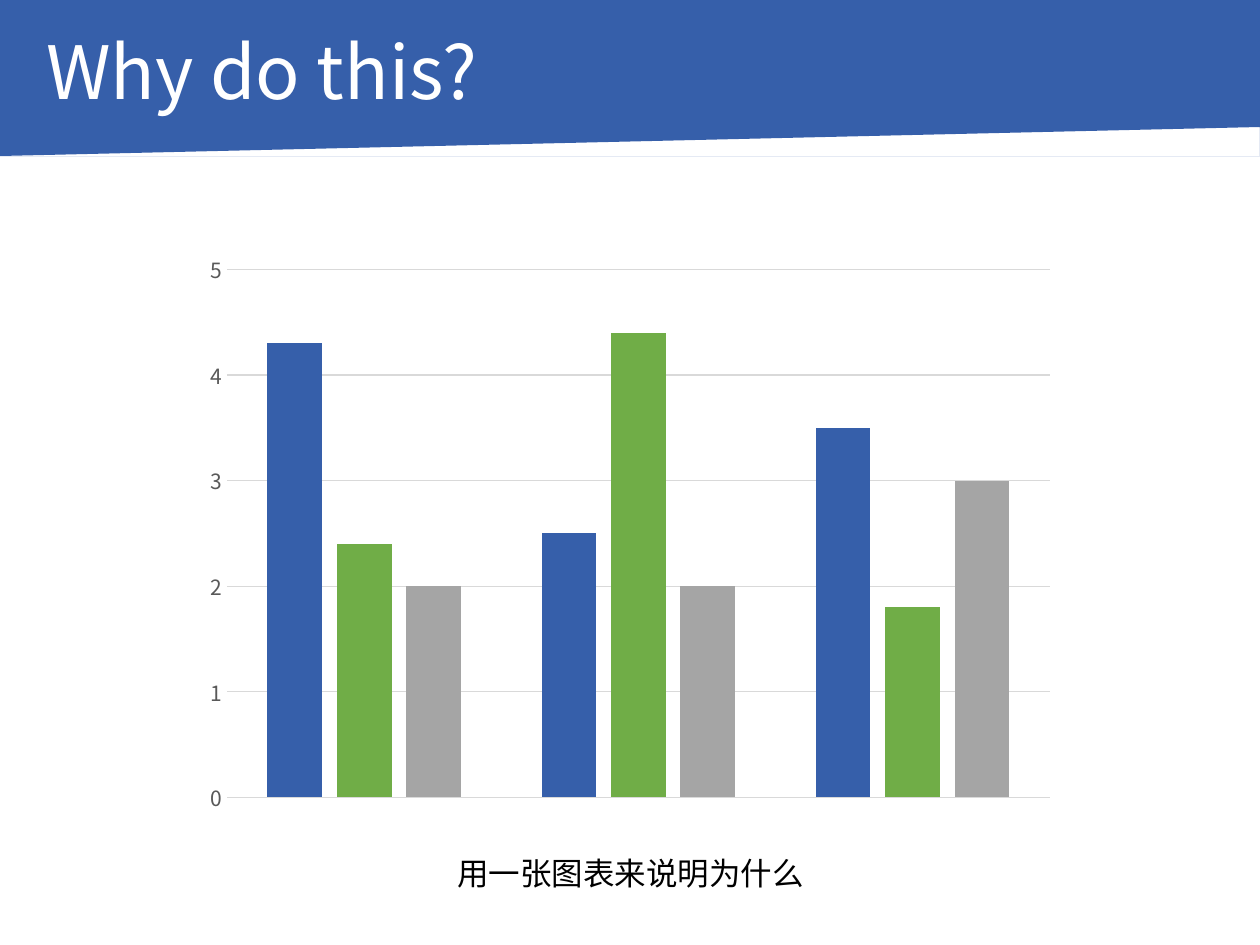
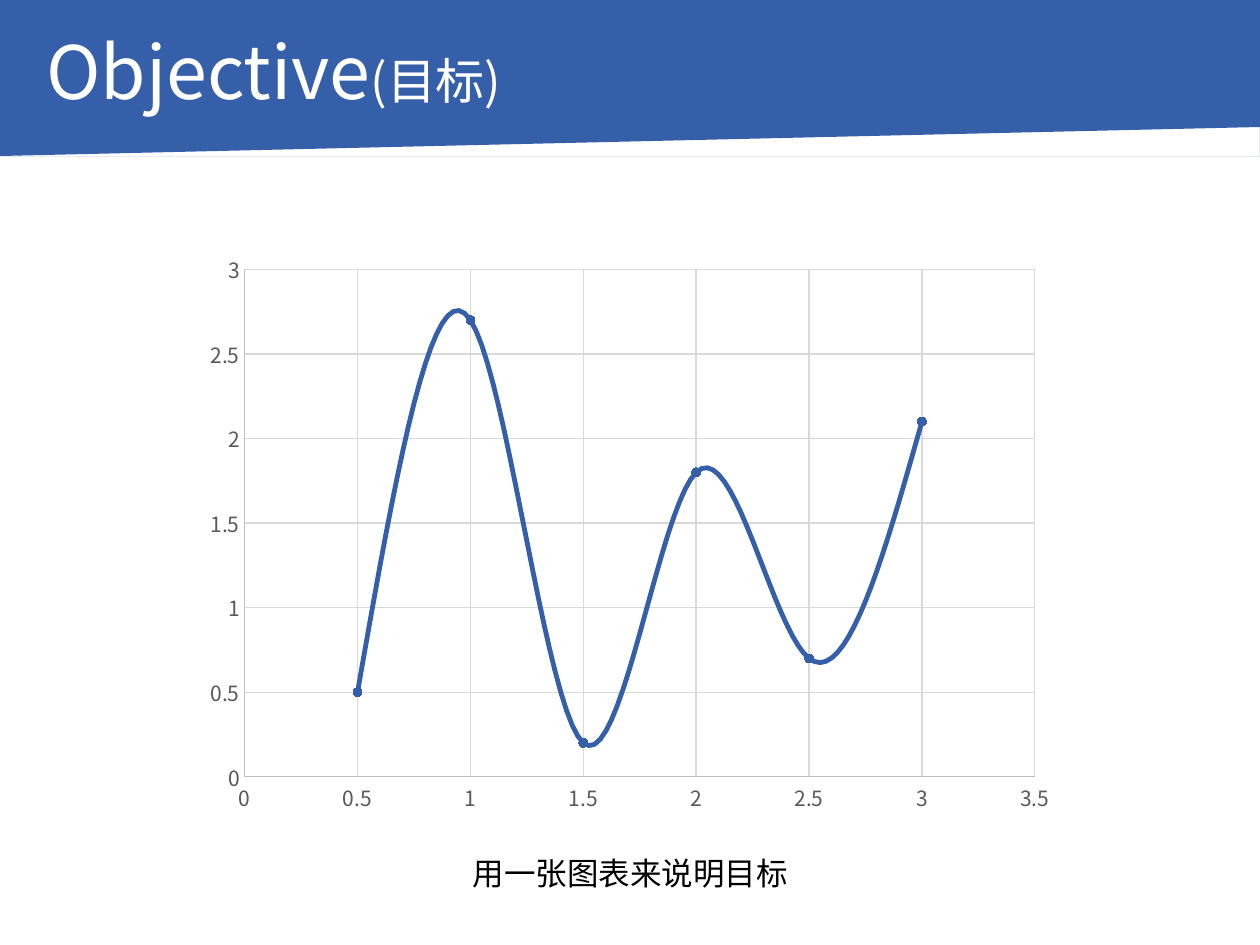
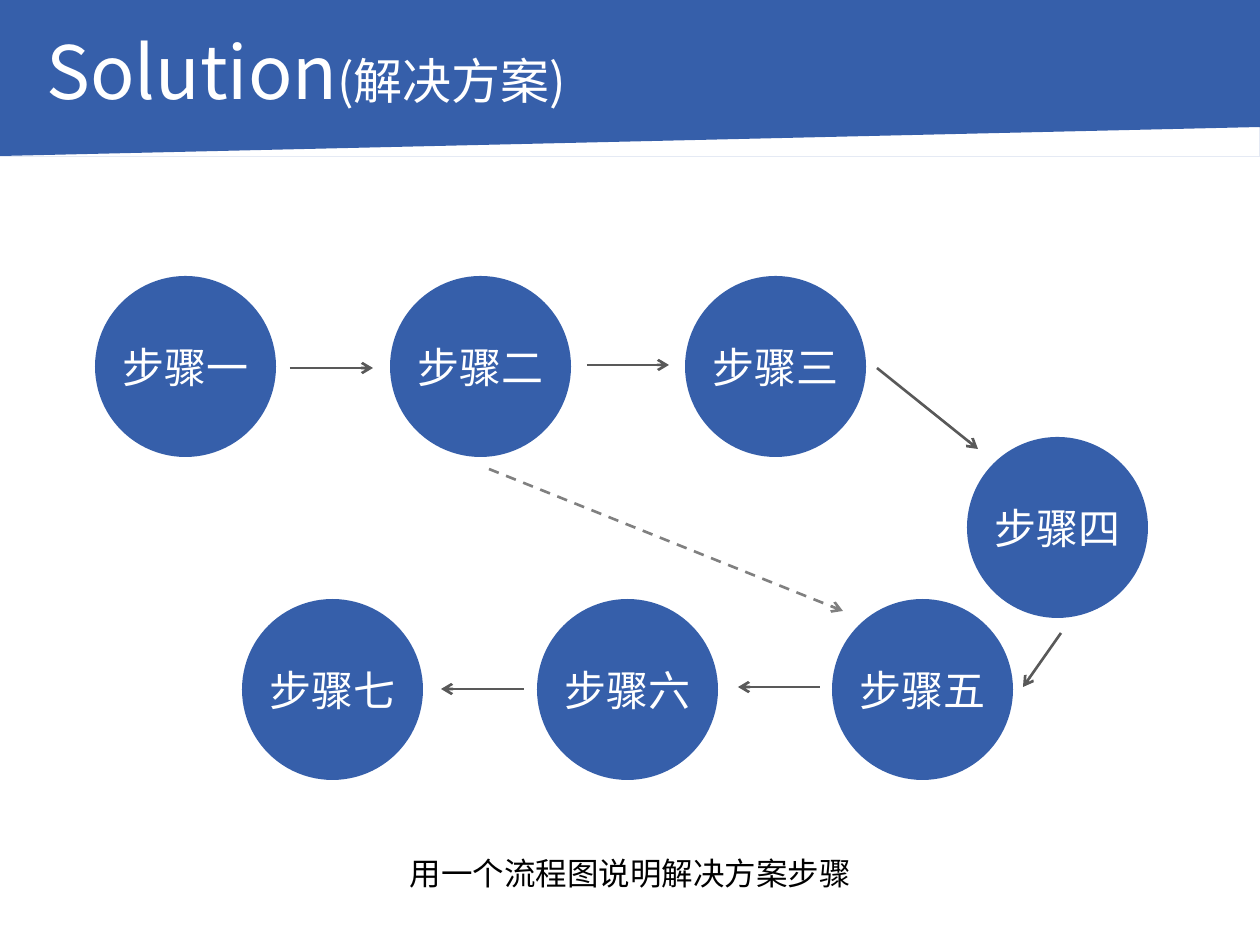
from dataclasses import dataclass
from typing import NamedTuple

from pptx import Presentation
from pptx.chart.data import CategoryChartData, XyChartData
from pptx.dml.color import RGBColor
from pptx.enum.chart import XL_CHART_TYPE, XL_MARKER_STYLE, XL_TICK_MARK
from pptx.enum.dml import MSO_LINE
from pptx.enum.shapes import MSO_CONNECTOR, MSO_SHAPE
from pptx.enum.text import MSO_ANCHOR, PP_ALIGN
from pptx.oxml.ns import qn
from pptx.util import Emu, Pt
from lxml.etree import SubElement

EMU_PER_PX = 914400 / 126


def px(n: float) -> Emu:
    return Emu(round(n * EMU_PER_PX))


# Theme
@dataclass(frozen=True)
class Theme:
    font: str = "Noto Sans CJK SC"
    blue: str = "365FAA"
    green: str = "70AD47"
    silver: str = "A5A5A5"
    white: str = "FFFFFF"
    black: str = "000000"
    arrow: str = "595959"
    shortcut: str = "808080"
    tick_label: str = "595959"
    axis: str = "BFBFBF"
    grid: str = "D9D9D9"
    title_size: int = 42
    subtitle_size: int = 28
    step_size: int = 24
    caption_size: int = 18
    tick_size: int = 12


THEME = Theme()


class Box(NamedTuple):
    left: int
    top: int
    width: int
    height: int

    def emu(self) -> list[Emu]:
        return [px(n) for n in self]


class Step(NamedTuple):
    label: str
    left: int
    top: int


class Arrow(NamedTuple):
    x1: int
    y1: int
    x2: int
    y2: int
    dashed: bool = False


SLIDE_W, SLIDE_H = 1260, 945
TITLE = Box(34, 34, 1145, 84)
CAPTION = Box(110, 848, 1041, 50)
CHART = Box(193, 242, 874, 583)
BAND = [(1260, 0), (1260, 156), (0, 156), (1260, 156), (1260, 127), (0, 156)]

# Flow chart: two rows of three circles, one circle between the rows
DIAMETER, PITCH = 181, 295
TOP_ROW, MIDDLE_ROW, BOTTOM_ROW = 276, 437, 599
STEPS = [
    *(Step(label, 95 + i * PITCH, TOP_ROW)
      for i, label in enumerate(["步骤一", "步骤二", "步骤三"])),
    Step("步骤四", 967, MIDDLE_ROW),
    *(Step(label, 242 + i * PITCH, BOTTOM_ROW)
      for i, label in enumerate(["步骤七", "步骤六", "步骤五"])),
]
ARROWS = [
    Arrow(290, 368, 373, 368),
    Arrow(587, 365, 669, 365),
    Arrow(524, 689, 441, 689),
    Arrow(820, 687, 738, 687),
    Arrow(877, 368, 978, 449),
    Arrow(1061, 633, 1023, 687),
    Arrow(489, 469, 843, 611, dashed=True),
]


# Text
def rgb(color: str) -> RGBColor:
    return RGBColor.from_string(color)


def style_run(r, size: int, color: str) -> None:
    r.font.size = Pt(size)
    r.font.name = THEME.font
    r.font.color.rgb = rgb(color)
    SubElement(r.font._element, qn("a:ea"), typeface=THEME.font)


def add_text(s, box: Box, text: str, size: int, color: str):
    tf = s.shapes.add_textbox(*box.emu()).text_frame
    tf.word_wrap = True
    tf.vertical_anchor = MSO_ANCHOR.MIDDLE
    tf.text = text
    p = tf.paragraphs[0]
    style_run(p.runs[0], size, color)
    return p


# Shared frame: slanted band, title and caption
def add_frame(prs, title: str, subtitle: str, caption: str):
    s = prs.slides.add_slide(prs.slide_layouts[6])
    builder = s.shapes.build_freeform(0, 0, scale=EMU_PER_PX)
    builder.add_line_segments(BAND)
    band = builder.convert_to_shape()
    paint(band)

    p = add_text(s, TITLE, title, THEME.title_size, THEME.white)
    p.line_spacing = 0.9
    if subtitle:
        r = p.add_run()
        r.text = subtitle
        style_run(r, THEME.subtitle_size, THEME.white)

    p = add_text(s, CAPTION, caption, THEME.caption_size, THEME.black)
    p.alignment = PP_ALIGN.CENTER
    return s


def paint(shape) -> None:
    shape.shadow.inherit = False
    shape.fill.solid()
    shape.fill.fore_color.rgb = rgb(THEME.blue)
    shape.line.fill.background()


# Charts
def add_chart(s, kind, data):
    chart = s.shapes.add_chart(kind, *CHART.emu(), data).chart
    chart.has_legend = False
    chart.has_title = False
    chart.font.name = THEME.font
    chart.font.size = Pt(THEME.tick_size)
    chart.font.color.rgb = rgb(THEME.tick_label)
    chart.plots[0].vary_by_categories = False
    return chart


def style_axis(axis, top: float, unit: float, show_line: bool) -> None:
    axis.minimum_scale, axis.maximum_scale, axis.major_unit = 0, top, unit
    axis.major_tick_mark = axis.minor_tick_mark = XL_TICK_MARK.NONE
    axis.tick_labels.number_format = "General"
    axis.tick_labels.number_format_is_linked = False
    axis.has_major_gridlines = True
    grid = axis.major_gridlines.format.line
    grid.color.rgb = rgb(THEME.grid)
    grid.width = Pt(0.75)
    line = axis.format.line
    if show_line:
        line.color.rgb = rgb(THEME.axis)
        line.width = Pt(0.75)
    else:
        line.fill.background()


def add_columns(s) -> None:
    data = CategoryChartData()
    data.categories = ["1", "2", "3"]
    data.add_series("Series 1", (4.3, 2.5, 3.5))
    data.add_series("Series 2", (2.4, 4.4, 1.8))
    data.add_series("Series 3", (2, 2, 3))
    chart = add_chart(s, XL_CHART_TYPE.COLUMN_CLUSTERED, data)
    chart.category_axis.visible = False
    style_axis(chart.value_axis, 5, 1, show_line=False)
    plot = chart.plots[0]
    plot.gap_width, plot.overlap = 147, -27
    for series, color in zip(plot.series, (THEME.blue, THEME.green, THEME.silver)):
        series.format.fill.solid()
        series.format.fill.fore_color.rgb = rgb(color)


def add_curve(s) -> None:
    data = XyChartData()
    points = data.add_series("Series 1")
    for i, y in enumerate((0.5, 2.7, 0.2, 1.8, 0.7, 2.1), start=1):
        points.add_data_point(i / 2, y)
    chart = add_chart(s, XL_CHART_TYPE.XY_SCATTER_SMOOTH, data)
    style_axis(chart.category_axis, 3.5, 0.5, show_line=True)
    style_axis(chart.value_axis, 3, 0.5, show_line=True)
    series = chart.plots[0].series[0]
    series.format.line.color.rgb = rgb(THEME.blue)
    series.format.line.width = Pt(2.75)
    marker = series.marker
    marker.style, marker.size = XL_MARKER_STYLE.CIRCLE, 5
    marker.format.fill.solid()
    marker.format.fill.fore_color.rgb = rgb(THEME.blue)
    marker.format.line.color.rgb = rgb(THEME.blue)
    for smooth in chart.element.iter(qn("c:smooth")):
        smooth.set("val", "1")


# Flow chart parts
def add_step(s, step: Step) -> None:
    box = Box(step.left, step.top, DIAMETER, DIAMETER)
    sp = s.shapes.add_shape(MSO_SHAPE.OVAL, *box.emu())
    paint(sp)
    tf = sp.text_frame
    tf.margin_left = tf.margin_top = tf.margin_right = tf.margin_bottom = 0
    tf.word_wrap = False
    tf.vertical_anchor = MSO_ANCHOR.MIDDLE
    tf.text = step.label
    p = tf.paragraphs[0]
    p.alignment = PP_ALIGN.CENTER
    style_run(p.runs[0], THEME.step_size, THEME.white)


def add_arrow(s, arrow: Arrow) -> None:
    ends = [px(n) for n in arrow[:4]]
    c = s.shapes.add_connector(MSO_CONNECTOR.STRAIGHT, *ends)
    c.line.color.rgb = rgb(THEME.shortcut if arrow.dashed else THEME.arrow)
    c.line.width = Pt(1.5)
    if arrow.dashed:
        c.line.dash_style = MSO_LINE.DASH
    sp_pr = c.element.spPr
    SubElement(sp_pr.find(qn("a:ln")), qn("a:tailEnd"), type="arrow")
    SubElement(sp_pr, qn("a:effectLst"))


def main() -> None:
    prs = Presentation()
    prs.slide_width, prs.slide_height = px(SLIDE_W), px(SLIDE_H)

    # Reason
    add_columns(add_frame(prs, "Why do this?", "", "用一张图表来说明为什么"))

    # Objective
    add_curve(add_frame(prs, "Objective", "(目标)", "用一张图表来说明目标"))

    # Solution
    s = add_frame(prs, "Solution", "(解决方案)", "用一个流程图说明解决方案步骤")
    for step in STEPS:
        add_step(s, step)
    for arrow in ARROWS:
        add_arrow(s, arrow)

    prs.save("out.pptx")


if __name__ == "__main__":
    main()
